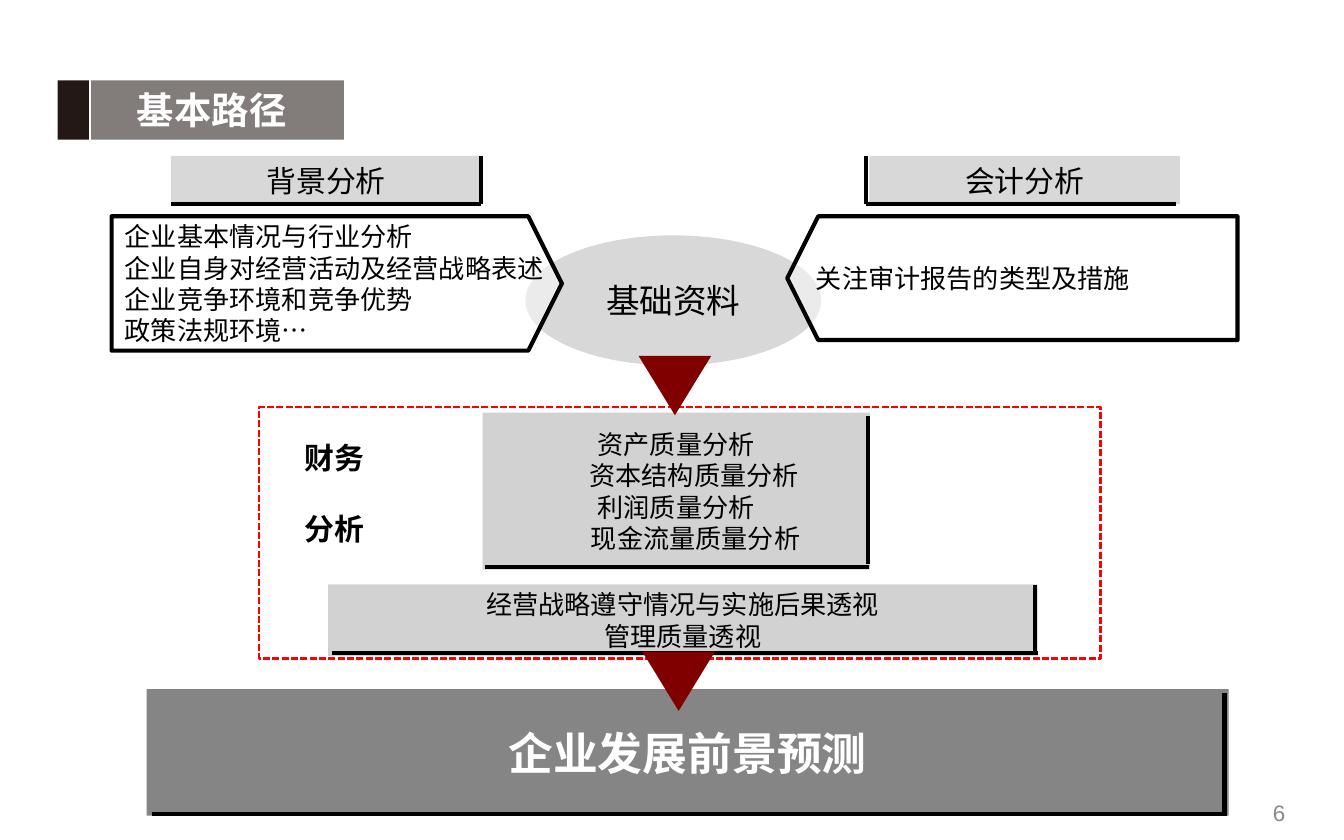
from lxml.etree import SubElement as Sub
from pptx import Presentation
from pptx.dml.color import RGBColor as RGB
from pptx.enum.dml import MSO_LINE as Dash
from pptx.enum.shapes import MSO_CONNECTOR as Conn, MSO_SHAPE as Kind
from pptx.enum.text import MSO_ANCHOR as Anchor, PP_ALIGN as Align
from pptx.oxml.ns import qn
from pptx.util import Cm, Pt

HUES = {
    "black": "000000", "white": "FFFFFF", "ink": "231815", "taupe": "827C7A",
    "silver": "B2B2B2", "panel": "A6A6A6", "coal": "0D0D0D",
    "maroon": "800000", "red": "FF0000", "page": "898989",
}
CJK = "Noto Sans CJK SC"

deck = Presentation()
deck.slide_width, deck.slide_height = Cm(25.4), Cm(15.88)
slide = deck.slides.add_slide(deck.slide_layouts[6])
shapes = slide.shapes


def write(shape, lines, size, hue="black", bold=False, align=Align.CENTER,
          face=CJK, wrap=True, anchor=Anchor.MIDDLE):
    frame = shape.text_frame
    frame.word_wrap = wrap
    frame.vertical_anchor = anchor
    frame.text = "\n".join(lines)
    for para in frame.paragraphs:
        para.alignment = align
        font = para.font
        font.size, font.bold, font.name = Pt(size), bold, face
        font.color.rgb = RGB.from_string(HUES[hue])
        props = para._p.get_or_add_pPr().find(qn("a:defRPr"))
        Sub(props, qn("a:ea"), typeface=face)


def draw(kind, box, fill=None, alpha=None, line=None, width=2.25):
    shape = shapes.add_shape(kind, *map(Cm, box))
    shape.shadow.inherit = False
    if fill:
        shape.fill.solid()
        shape.fill.fore_color.rgb = RGB.from_string(HUES[fill])
    else:
        shape.fill.background()
    if alpha:
        tint = shape.fill._xPr.find(qn("a:solidFill"))[0]
        Sub(tint, qn("a:alpha"), val=str(alpha * 1000))
    if line:
        shape.line.color.rgb = RGB.from_string(HUES[line])
        shape.line.width = Pt(width)
    else:
        shape.line.fill.background()
    return shape


# Title bar
title = draw(Kind.RECTANGLE, (1.7, 1.52, 4.8, 1.12), "taupe")
write(title, ["基本路径"], 20, "white", True, Align.LEFT, "Calibri")
title.text_frame.margin_left = Cm(0.89)
draw(Kind.RECTANGLE, (1.09, 1.52, 0.61, 1.12), "ink")

# Source material in the centre
base = draw(Kind.OVAL, (9.93, 4.45, 5.59, 2.46), "silver", 50)
write(base, ["基础资料"], 18, wrap=False)

# Arrow-shaped notes pointing at the centre
notes = [
    ((2.11, 4.09, 8.51, 2.54), False,
     ["企业基本情况与行业分析", "企业自身对经营活动及经营战略表述",
      "企业竞争环境和竞争优势", "政策法规环境…"]),
    ((14.88, 4.09, 8.51, 2.34), True, ["关注审计报告的类型及措施"]),
]
for box, flip, lines in notes:
    note = draw(Kind.PENTAGON, box, "white", 50, "black")
    note.adjustments[0] = 0.25
    if flip:
        note._element.spPr.xfrm.set("flipH", "1")
    write(note, lines, 14, align=Align.LEFT, wrap=False)

# Grey panels
panels = [
    ((3.23, 2.95, 5.87, 0.91), "silver", ["背景分析"], 16),
    ((16.43, 2.95, 5.87, 0.91), "silver", ["会计分析"], 16),
    ((9.12, 7.8, 7.32, 2.97), "panel",
     ["资产质量分析", "资本结构质量分析", "利润质量分析", "现金流量质量分析"], 14),
    ((2.77, 13.03, 20.45, 2.39), "coal", ["企业发展前景预测"], 24),
    ((6.2, 11.05, 13.41, 1.35), "panel",
     ["经营战略遵守情况与实施后果透视", "管理质量透视"], 14),
]
for box, fill, lines, size in panels:
    panel = draw(Kind.RECTANGLE, box, fill, 50)
    last = fill == "coal"
    write(panel, lines, size, "white" if last else "black", last)
    if len(lines) == 4:
        for row, shift in ((1, 0.68), (3, 0.74)):
            props = panel.text_frame.paragraphs[row]._p.get_or_add_pPr()
            props.set("marL", str(Cm(shift)))

# Edge lines: the title divider, then a side and a bottom per panel
edges = [
    (1.7, 1.52, 1.7, 2.64, "white", 0.75),
    (9.09, 2.95, 9.09, 3.86, "black", 2.25),
    (3.23, 3.86, 9.09, 3.86, "black", 2.25),
    (16.36, 2.95, 16.36, 3.86, "black", 2.25),
    (22.23, 3.86, 16.36, 3.86, "black", 2.25),
    (16.41, 7.87, 16.41, 10.67, "black", 2.25),
    (9.17, 10.72, 16.43, 10.72, "black", 2.25),
    (23.14, 13.11, 23.14, 15.37, "black", 2.25),
    (2.87, 15.39, 23.19, 15.39, "black", 2.25),
    (19.56, 11.05, 19.56, 12.32, "black", 2.25),
    (6.27, 12.34, 19.61, 12.34, "black", 2.25),
]
for *ends, hue, width in edges:
    edge = shapes.add_connector(Conn.STRAIGHT, *map(Cm, ends))
    edge.line.color.rgb = RGB.from_string(HUES[hue])
    edge.line.width = Pt(width)
    Sub(edge._element.spPr, qn("a:effectLst"))

# Financial analysis label and page number
label = shapes.add_textbox(Cm(5.31), Cm(8.18), Cm(2.01), Cm(2.31))
write(label, ["财务", "分析"], 16, bold=True, anchor=Anchor.TOP)
label.text_frame.paragraphs[1].space_before = Pt(19.3)
page = shapes.add_textbox(Cm(18.62), Cm(14.94), Cm(5.92), Cm(0.84))
write(page, ["6"], 12, "page", align=Align.RIGHT, face="Arial")

# Dashed frame and downward arrows
frame = draw(Kind.RECTANGLE, (4.9, 7.7, 15.9, 4.75), line="red", width=1.25)
frame.line.dash_style = Dash.SQUARE_DOT
for left, top in ((12.07, 6.73), (12.14, 12.32)):
    arrow = draw(Kind.ISOSCELES_TRIANGLE, (left, top, 1.37, 1.12), "maroon")
    arrow.rotation = 180

deck.save("out.pptx")
